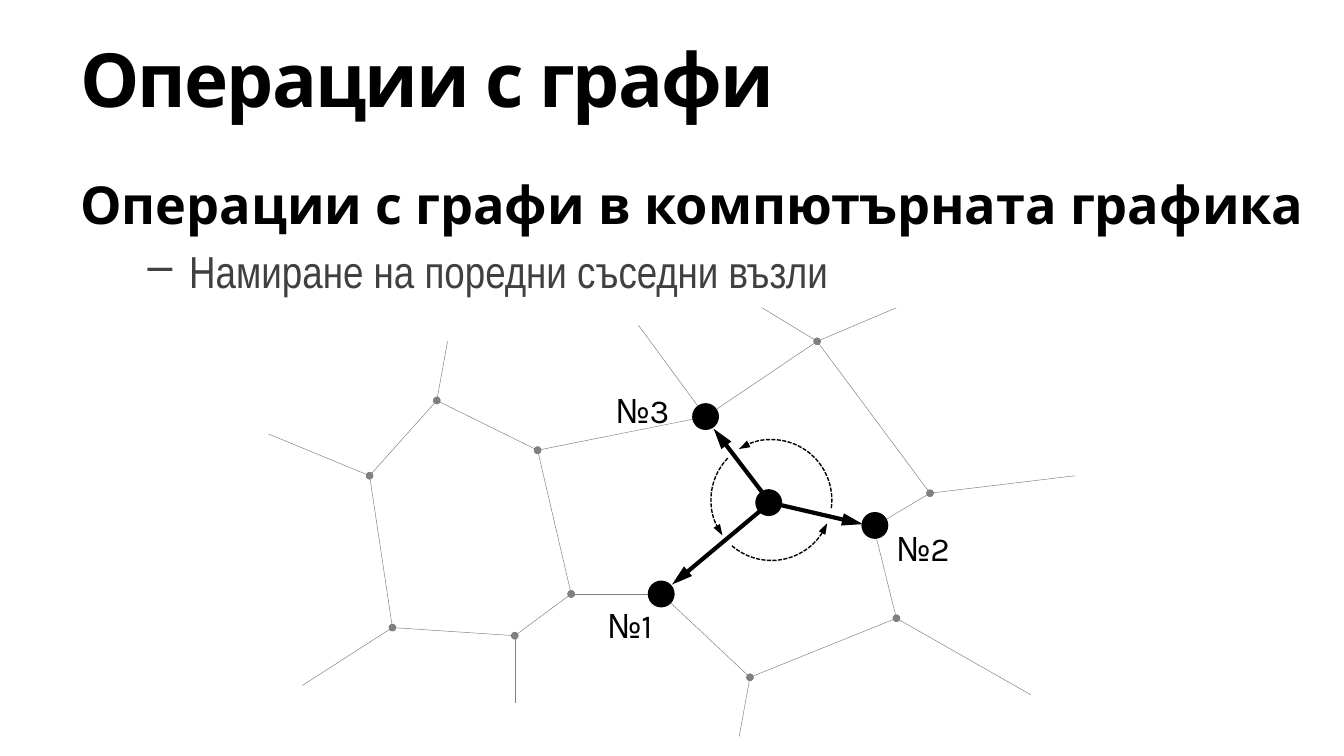
from lxml.etree import SubElement
from pptx import Presentation
from pptx.dml.color import RGBColor
from pptx.enum.dml import MSO_LINE as Dash
from pptx.enum.shapes import MSO_CONNECTOR as Conn, MSO_SHAPE as Shape
from pptx.enum.text import MSO_ANCHOR as Anchor
from pptx.oxml.ns import qn
from pptx.util import Inches, Pt

BLACK = RGBColor(0x00, 0x00, 0x00)
GRAY = RGBColor(0x80, 0x80, 0x80)
DARK = RGBColor(0x40, 0x40, 0x40)

TITLE = {"name": "Karla", "size": Pt(40), "bold": True}
HEAD = {"name": "Karla", "size": Pt(28), "bold": True}
ITEM = {"name": "Arial Narrow", "size": Pt(24), "bold": False}
LABEL = {"name": "Karla", "size": Pt(18)}

DOT = ("oval", "sm", "sm")
THICK = ("triangle", "med", "lg")
THIN = ("triangle", "sm", "med")

NODES = {
    "one": (4.92, 4.42), "two": (6.5, 3.92), "three": (5.25, 3.1),
    "top": (6.08, 2.54), "east": (6.92, 3.67), "south": (6.67, 4.6),
    "base": (5.58, 5.04), "mid": (4.25, 4.42), "low": (3.83, 4.73),
    "left": (2.92, 4.67), "west": (2.75, 3.54), "north": (3.25, 2.98),
    "inner": (4, 3.35),
}
EDGES = [
    ("two", "east"), ("mid", "low"), ("north", "inner"), ("mid", "one"),
    ("three", "top"), ("mid", "inner"), ("two", "south"),
    ("inner", "three"), ("one", "base"), ("left", "low"),
    ("south", "base"), ("top", "east"), ("west", "north"), ("west", "left"),
]
# Open edges that leave the drawn part of the graph
STUBS = [
    ("three", (4.75, 2.42)), ("south", (7.67, 5.17)), ("base", (5.5, 5.48)),
    ("low", (3.83, 5.23)), ("east", (8, 3.54)), ("top", (6.67, 2.29)),
    ("top", (5.67, 2.29)), ("north", (3.33, 2.54)), ("west", (2, 3.23)),
    ("left", (2.25, 5.1)),
]
HUB = (5.73, 3.74)
TIPS = [(5.31, 3.19), (5, 4.35), (6.42, 3.9)]
DISCS = [(4.92, 4.42), (5.25, 3.1), (6.51, 3.91), (5.72, 3.74)]
# Start and end of each turn between neighbours, in degrees
TURNS = [(136.2, 215.86), (352.3, 122.53), (229.22, 337.47)]
LABELS = [("№1", 4.42, 4.45), ("№2", 6.57, 3.88), ("№3", 4.48, 2.85)]


def style(font, form, color):
    for key, value in form.items():
        setattr(font, key, value)
    font.color.rgb = color


def add_box(slide, left, top, width, height):
    box = slide.shapes.add_textbox(
        Inches(left), Inches(top), Inches(width), Inches(height))
    box.text_frame.word_wrap = True
    return box.text_frame


def add_run(para, text, form, color):
    run = para.add_run()
    run.text = text
    style(run.font, form, color)
    return run


def set_bullet(para, char, left, hang):
    props = para._p.get_or_add_pPr()
    props.set("marL", str(Inches(left)))
    props.set("indent", str(-Inches(hang)))
    SubElement(props, qn("a:buChar")).set("char", char)


def set_ends(line, **ends):
    """Put end marks on a line; each is a kind, a width and a length."""
    part = line._get_or_add_ln()
    for side in ("head", "tail"):
        if side in ends:
            mark = SubElement(part, qn(f"a:{side}End"))
            for key, value in zip(("type", "w", "len"), ends[side]):
                mark.set(key, value)


def add_line(slide, start, end, color, width, **ends):
    points = [Inches(v) for v in (*start, *end)]
    link = slide.shapes.add_connector(Conn.STRAIGHT, *points)
    link.line.color.rgb = color
    link.line.width = Pt(width)
    set_ends(link.line, **ends)
    SubElement(link._element.spPr, qn("a:effectLst"))


def add_disc(slide, x, y, size=0.2):
    disc = slide.shapes.add_shape(
        Shape.OVAL, Inches(x - size / 2), Inches(y - size / 2),
        Inches(size), Inches(size))
    disc.shadow.inherit = False
    disc.fill.solid()
    disc.fill.fore_color.rgb = BLACK
    disc.line.fill.background()


def add_turn(slide, start, end):
    """Add a dashed arc that runs counter-clockwise around the hub."""
    arc = slide.shapes.add_shape(
        Shape.ARC, Inches(5.29), Inches(3.27), Inches(0.9), Inches(0.9))
    arc.shadow.inherit = False
    # Adjustments count 100000ths, while angles count 60000ths of a degree
    for i, angle in enumerate((start, end)):
        arc.adjustments[i] = angle * 0.6
    arc.rotation = 180
    arc._element.spPr.xfrm.set("flipH", "1")
    arc.fill.background()
    arc.line.color.rgb = BLACK
    arc.line.width = Pt(0.75)
    arc.line.dash_style = Dash.SQUARE_DOT
    set_ends(arc.line, tail=THIN)


def add_text(slide):
    frame = add_box(slide, 0.5, 0.15, 9.5, 0.85)
    frame.vertical_anchor = Anchor.MIDDLE
    run = add_run(frame.paragraphs[0], "Операции с графи", TITLE, BLACK)
    run.font._element.set("spc", "-100")

    frame = add_box(slide, 0.5, 1.23, 9.5, 4.08)
    add_run(frame.paragraphs[0], "Операции с графи в компютърната графика",
            HEAD, BLACK)
    para = frame.add_paragraph()
    set_bullet(para, "–", 0.81, 0.31)
    para.space_before = Pt(5)
    add_run(para, "Намиране на поредни съседни възли", ITEM, DARK)


def add_graph(slide):
    for name, end in STUBS:
        add_line(slide, NODES[name], end, GRAY, 0.25)
    for a, b in EDGES:
        add_line(slide, NODES[a], NODES[b], GRAY, 0.25, head=DOT, tail=DOT)
    for tip in TIPS:
        add_line(slide, HUB, tip, BLACK, 2.25, tail=THICK)
    for x, y in DISCS:
        add_disc(slide, x, y)
    for start, end in TURNS:
        add_turn(slide, start, end)
    for text, left, top in LABELS:
        frame = add_box(slide, left, top, 0.67, 0.4)
        add_run(frame.paragraphs[0], text, LABEL, BLACK)


def main():
    deck = Presentation()
    deck.slide_width = Inches(10)
    deck.slide_height = deck.slide_width * 9 // 16
    slide = deck.slides.add_slide(deck.slide_layouts[6])
    add_text(slide)
    add_graph(slide)
    deck.save("out.pptx")


if __name__ == "__main__":
    main()
